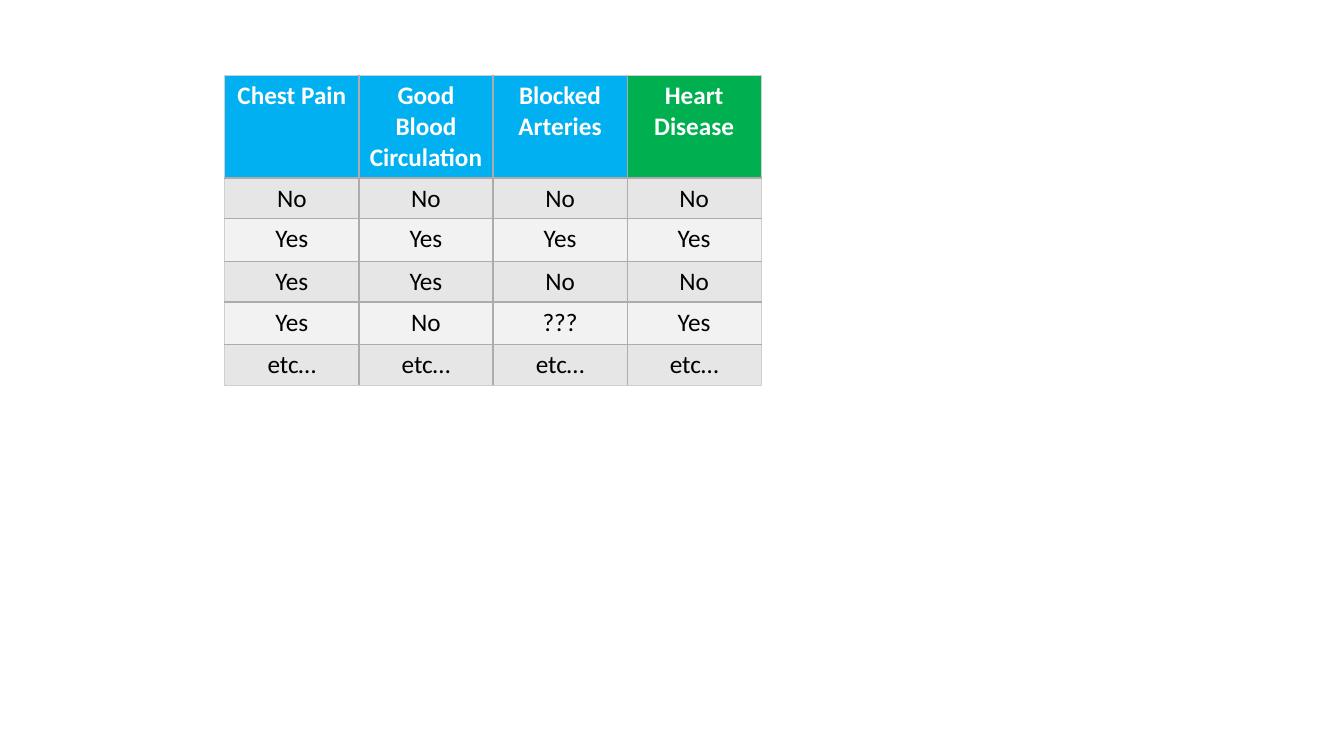
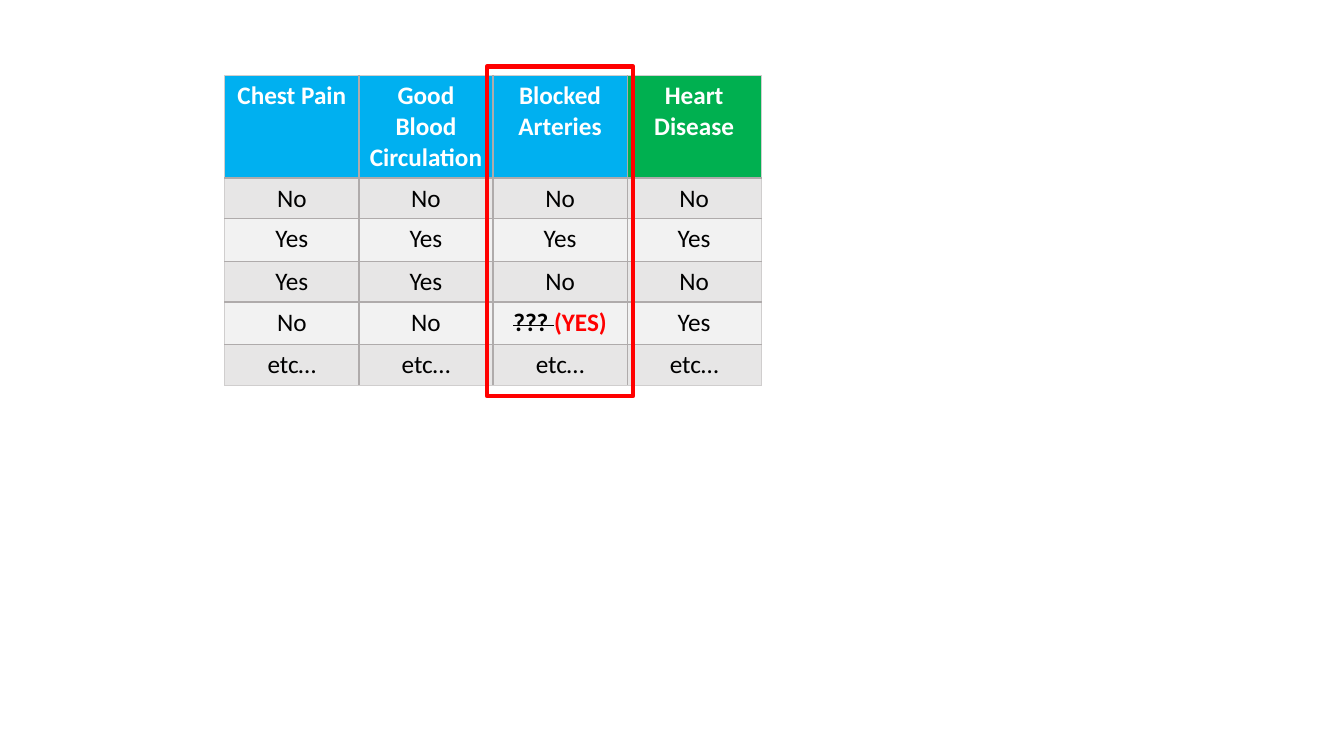
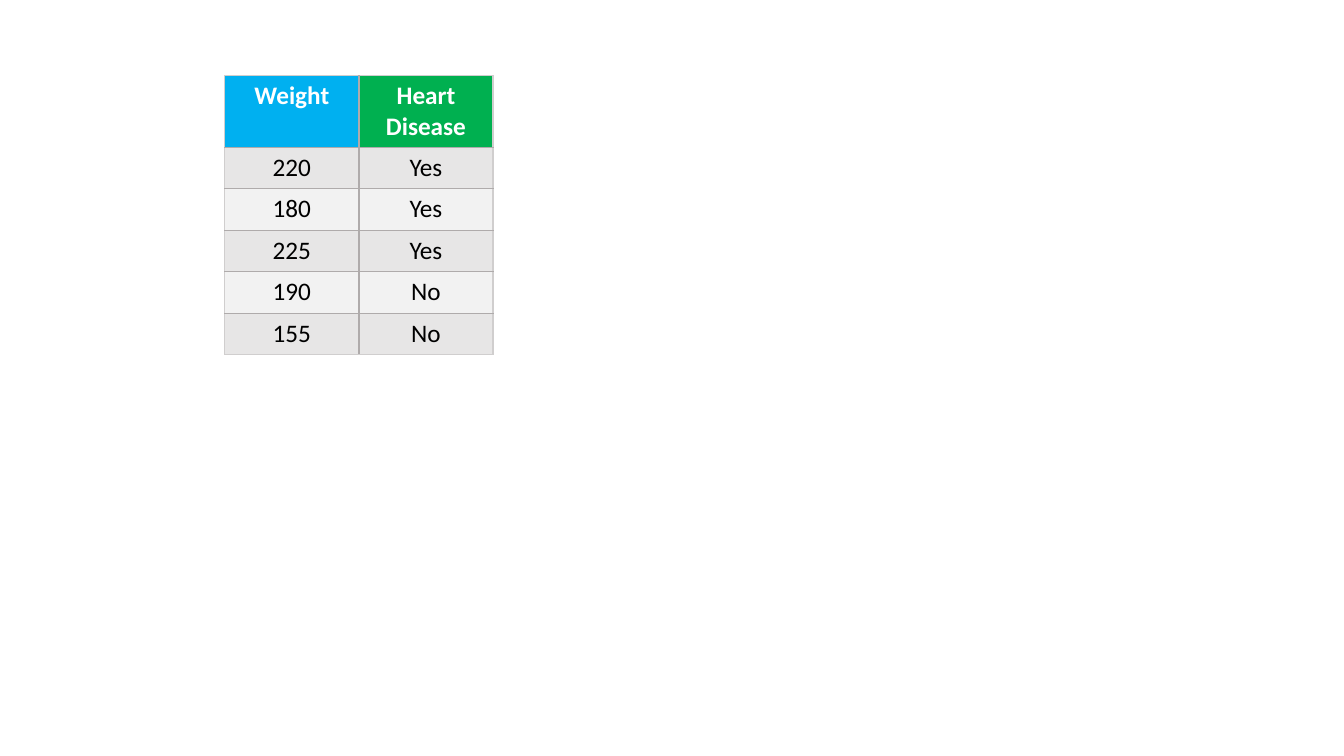
from dataclasses import dataclass

from lxml import etree
from pptx import Presentation
from pptx.dml.color import RGBColor
from pptx.enum import shapes, text
from pptx.oxml import ns
from pptx.util import Inches, Pt


@dataclass(frozen=True)
class Theme:
    font: str = "Calibri"
    size: int = 18
    feature: str = "00B0F0"
    outcome: str = "00B050"
    header_text: str = "FFFFFF"
    body_text: str = "000000"
    bands: tuple = ("E7E6E6", "F2F2F2")
    inner_border: str = "AFABAB"
    outer_border: str = "D0CECE"
    border_width: float = 1
    accent: str = "FF0000"
    frame_width: float = 3


THEME = Theme()
SLIDE_SIZE = (13.33, 7.5)
TABLE_LEFT, TABLE_TOP = 2.23, 0.75
COLUMN_WIDTH = 1.33
ROW_HEIGHTS = (0.43, 0.4, 0.42, 0.32, 0.42, 0.4)
FRAME_TOP, FRAME_HEIGHT, FRAME_OVERHANG = 0.66, 3.27, 0.06

PATIENT_HEADER = ("Chest Pain", "Good\nBlood\nCirculation", "Blocked\nArteries", "Heart Disease")
FIRST_PATIENTS = [
    ("No", "No", "No", "No"),
    ("Yes", "Yes", "Yes", "Yes"),
    ("Yes", "Yes", "No", "No"),
]
MORE_PATIENTS = ("etc…",) * 4
IMPUTED = (
    ("??? ", {"bold": True, "strike": True}),
    ("(YES)", {"bold": True, "color": THEME.accent}),
)

SLIDES = [
    {"rows": [PATIENT_HEADER, *FIRST_PATIENTS, ("Yes", "No", "???", "Yes"), MORE_PATIENTS]},
    {
        "rows": [PATIENT_HEADER, *FIRST_PATIENTS, ("No", "No", IMPUTED, "Yes"), MORE_PATIENTS],
        "framed_column": 2,
    },
    {
        "rows": [
            ("Weight", "Heart Disease"),
            ("220", "Yes"),
            ("180", "Yes"),
            ("225", "Yes"),
            ("190", "No"),
            ("155", "No"),
        ]
    },
]


def rgb(color):
    return RGBColor.from_string(color)


def add_run(paragraph, words, color, bold=False, strike=False):
    run = paragraph.add_run()
    run.text = words
    run.font.name = THEME.font
    run.font.size = Pt(THEME.size)
    run.font.bold = bold
    run.font.color.rgb = rgb(color)
    if strike:
        run._r.get_or_add_rPr().set("strike", "sngStrike")


def write_cell(cell, content, color, bold):
    if isinstance(content, str):
        lines = [[(line, {})] for line in content.split("\n")]
    else:
        lines = [content]
    for index, line in enumerate(lines):
        frame = cell.text_frame
        paragraph = frame.add_paragraph() if index else frame.paragraphs[0]
        paragraph.alignment = text.PP_ALIGN.CENTER
        for words, style in line:
            add_run(paragraph, words, **{"color": color, "bold": bold, **style})


def set_borders(cell, outer_sides):
    properties = cell._tc.get_or_add_tcPr()
    for side in "LRTB":
        border = etree.SubElement(properties, ns.qn(f"a:ln{side}"), w=str(Pt(THEME.border_width)))
        fill = etree.SubElement(border, ns.qn("a:solidFill"))
        color = THEME.outer_border if outer_sides[side] else THEME.inner_border
        etree.SubElement(fill, ns.qn("a:srgbClr"), val=color)


def add_data_table(slide, rows):
    last_row, last_column = len(rows) - 1, len(rows[0]) - 1
    table = slide.shapes.add_table(
        len(rows), len(rows[0]), Inches(TABLE_LEFT), Inches(TABLE_TOP),
        Inches(COLUMN_WIDTH * len(rows[0])), Inches(sum(ROW_HEIGHTS)),
    ).table
    for column in table.columns:
        column.width = Inches(COLUMN_WIDTH)
    for row, height in zip(table.rows, ROW_HEIGHTS):
        row.height = Inches(height)
    for r, row in enumerate(rows):
        for c, content in enumerate(row):
            cell = table.cell(r, c)
            if r == 0:
                fill = THEME.outcome if c == last_column else THEME.feature
            else:
                fill = THEME.bands[(r - 1) % 2]
            set_borders(cell, {"L": c == 0, "R": c == last_column, "T": r == 0, "B": r == last_row})
            cell.fill.solid()
            cell.fill.fore_color.rgb = rgb(fill)
            write_cell(cell, content, THEME.body_text if r else THEME.header_text, r == 0)


def add_column_frame(slide, column):
    frame = slide.shapes.add_shape(
        shapes.MSO_SHAPE.RECTANGLE,
        Inches(TABLE_LEFT + column * COLUMN_WIDTH - FRAME_OVERHANG), Inches(FRAME_TOP),
        Inches(COLUMN_WIDTH + 2 * FRAME_OVERHANG), Inches(FRAME_HEIGHT),
    )
    frame.shadow.inherit = False
    frame.fill.background()
    frame.line.color.rgb = rgb(THEME.accent)
    frame.line.width = Pt(THEME.frame_width)


def main():
    presentation = Presentation()
    presentation.slide_width, presentation.slide_height = map(Inches, SLIDE_SIZE)
    for content in SLIDES:
        slide = presentation.slides.add_slide(presentation.slide_layouts[6])
        add_data_table(slide, content["rows"])
        if "framed_column" in content:
            add_column_frame(slide, content["framed_column"])
    presentation.save("out.pptx")


if __name__ == "__main__":
    main()
